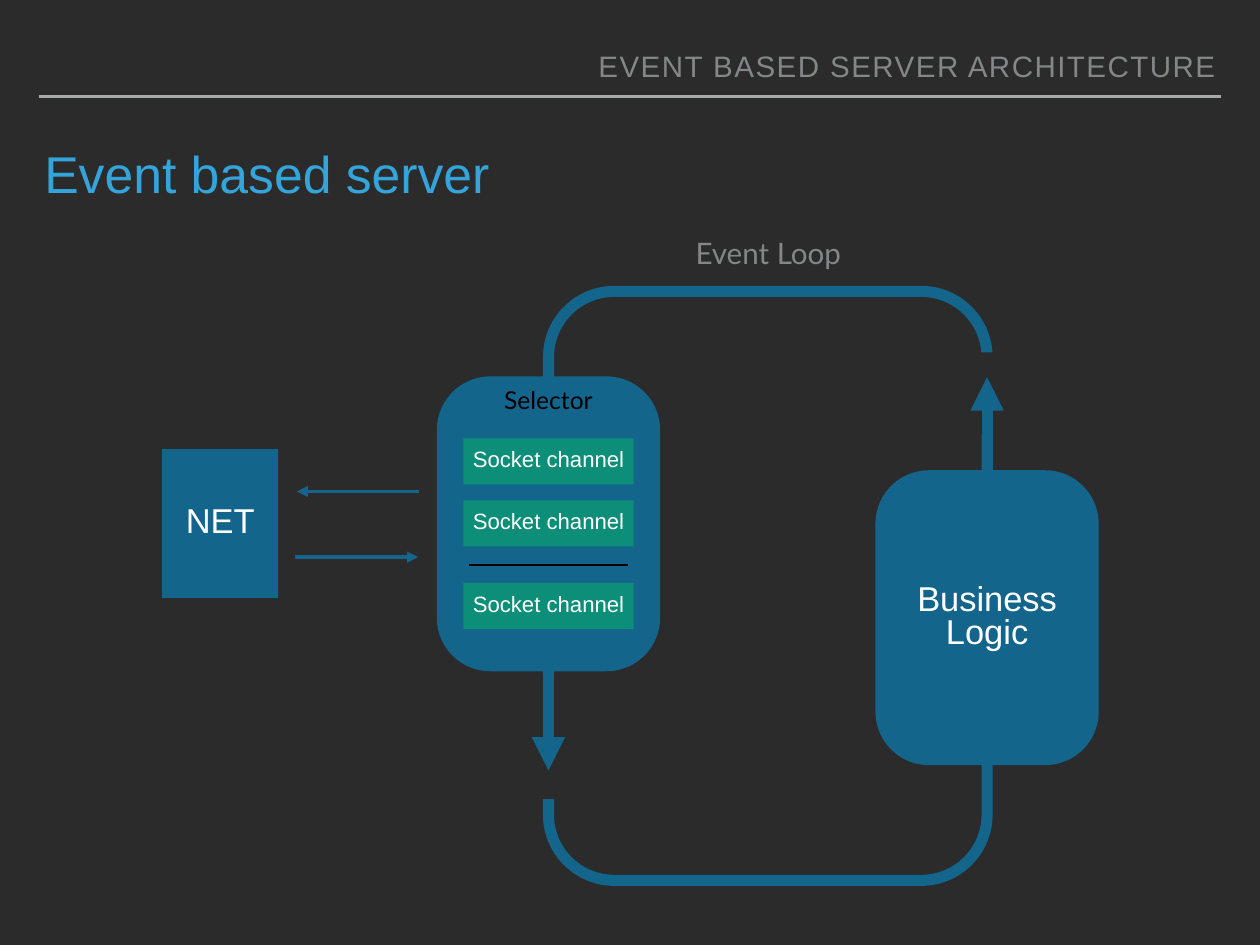
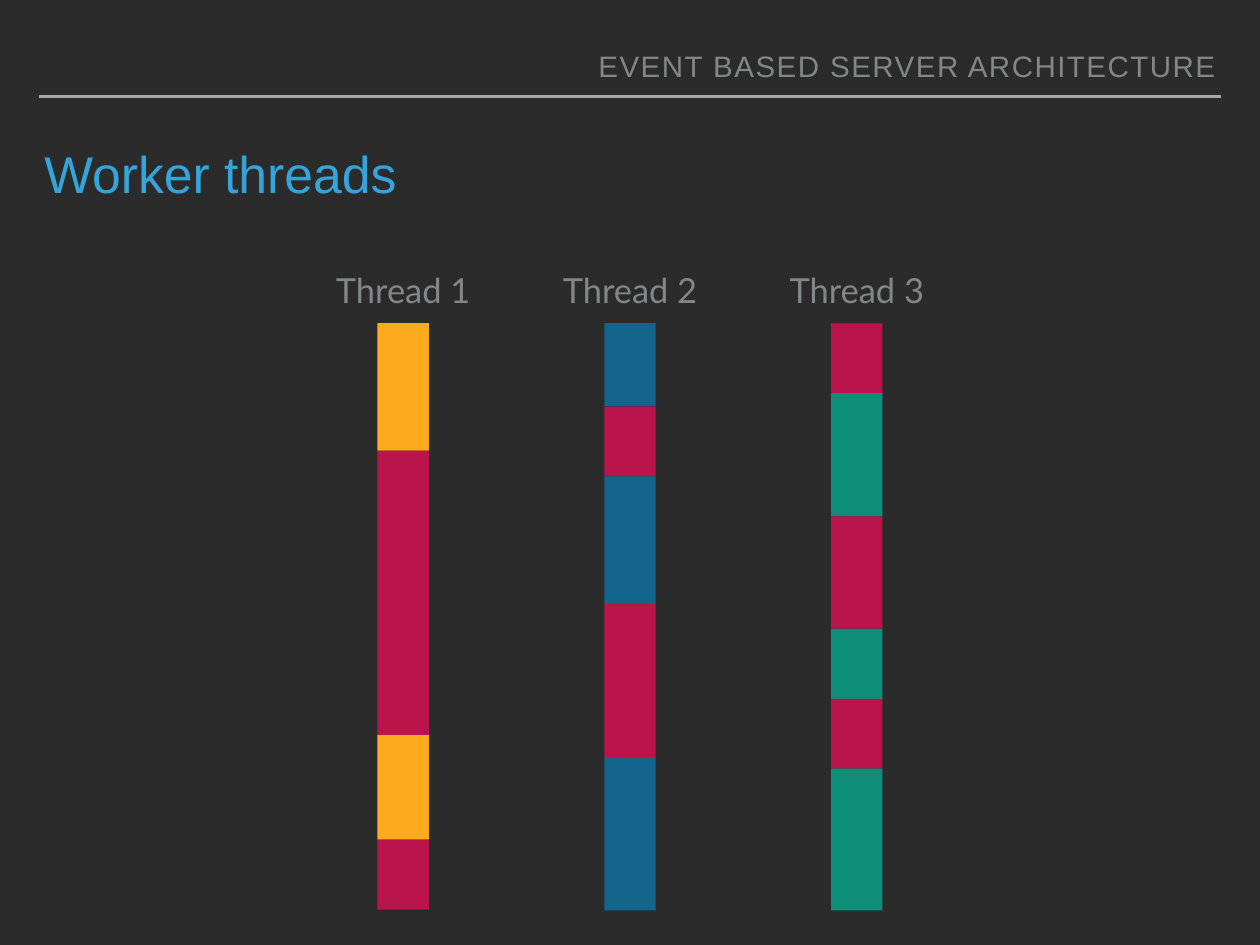
from itertools import cycle

from lxml import etree
from pptx import Presentation
from pptx import util as u
from pptx.dml.color import RGBColor
from pptx.enum import shapes, text
from pptx.oxml import ns

# Shared look
BACKGROUND = RGBColor(0x2B, 0x2B, 0x2B)
RULE = RGBColor(0xA6, 0xAA, 0xA9)
GREY = RGBColor(0x83, 0x87, 0x87)
SKY = RGBColor(0x34, 0xA5, 0xDA)
BLUE = RGBColor(0x13, 0x65, 0x8C)
GREEN = RGBColor(0x0C, 0x8E, 0x78)
RED = RGBColor(0xB9, 0x14, 0x4C)
AMBER = RGBColor(0xFD, 0xAA, 0x1D)
WHITE = RGBColor(0xFF, 0xFF, 0xFF)
BLACK = RGBColor(0, 0, 0)

WIDTH, HEIGHT = 14.22, 10.67
MARGIN = 0.44
INSET = 0.06
BODY_FONT, LABEL_FONT = "Arial", "Lato"
RECT = shapes.MSO_SHAPE.RECTANGLE
ROUNDED = shapes.MSO_SHAPE.ROUNDED_RECTANGLE
CENTER = text.PP_ALIGN.CENTER
MIDDLE = text.MSO_ANCHOR.MIDDLE

# Content
HEADER = "EVENT BASED SERVER ARCHITECTURE"
SERVER_TITLE = "Event based server"
THREADS_TITLE = "Worker threads"
CHANNEL = "Socket channel"
CHANNEL_TOPS = (4.95, 5.65, 6.58)
# Label, alternating colours, segment lengths from top to bottom
THREADS = [
    ("Thread 1", (AMBER, RED), (1.44, 3.21, 1.18, 0.79)),
    ("Thread 2", (BLUE, RED), (0.94, 0.79, 1.44, 1.73, 1.73)),
    ("Thread 3", (RED, GREEN), (0.79, 1.39, 1.27, 0.79, 0.79, 1.6)),
]


def write(shape, words, size, color, font=BODY_FONT, align=CENTER,
          anchor=MIDDLE, spacing=0.8, wrap=True):
    frame = shape.text_frame
    frame.margin_left = frame.margin_right = u.Inches(INSET)
    frame.margin_top = frame.margin_bottom = u.Inches(INSET)
    frame.vertical_anchor = anchor
    frame.word_wrap = wrap
    frame.text = words
    para = frame.paragraphs[0]
    para.alignment = align
    para.line_spacing = spacing
    span = para.runs[0]
    span.font.name = font
    span.font.size = u.Pt(size)
    span.font.color.rgb = color
    return span


def add_text(parent, area, words, size, color, **style):
    box = parent.shapes.add_textbox(*map(u.Inches, area))
    return write(box, words, size, color, **style)


def add_box(parent, area, fill, kind=RECT, corner=None, outline=None):
    box = parent.shapes.add_shape(kind, *map(u.Inches, area))
    box.shadow.inherit = False
    if corner is not None:
        box.adjustments[0] = corner
    if fill is None:
        box.fill.background()
    else:
        box.fill.solid()
        box.fill.fore_color.rgb = fill
    if outline is None:
        box.line.fill.background()
    else:
        box.line.color.rgb, box.line.width = outline[0], u.Pt(outline[1])
    return box


def add_line(parent, start, end, color, weight, arrow=False):
    line = parent.shapes.add_connector(
        shapes.MSO_CONNECTOR.STRAIGHT, *map(u.Inches, (*start, *end)))
    line.line.color.rgb = color
    line.line.width = u.Pt(weight)
    if arrow:
        tip = etree.SubElement(line.line._get_or_add_ln(), ns.qn("a:tailEnd"))
        tip.set("type", "triangle")
    etree.SubElement(line._element.spPr, ns.qn("a:effectLst"))


def add_page(deck, title):
    page = deck.slides.add_slide(deck.slide_layouts[6])
    span_width = WIDTH - 2 * MARGIN
    add_line(page, (MARGIN, 1.09), (WIDTH - MARGIN, 1.09), RULE, 2)
    header = add_text(page, (MARGIN, 0.5, span_width, 0.5), HEADER, 24, GREY,
                      align=text.PP_ALIGN.RIGHT, anchor=text.MSO_ANCHOR.BOTTOM)
    header.font._element.set("spc", "120")
    add_text(page, (MARGIN, 1.68, span_width, 0.79), title, 42, SKY,
             align=text.PP_ALIGN.LEFT, anchor=text.MSO_ANCHOR.TOP)
    return page


def add_selector(page, area):
    group = page.shapes.add_group_shape()
    add_box(group, area, BLUE, ROUNDED, 0.24)
    center = area[0] + area[2] / 2
    add_text(group, (center - 0.63, 4.35, 1.26, 0.52), "Selector", 20, BLACK,
             font=LABEL_FONT, spacing=0.1)
    for top in CHANNEL_TOPS:
        channel = add_box(group, (center - 0.96, top, 1.92, 0.52), GREEN)
        write(channel, CHANNEL, 18, WHITE)
    add_line(group, (center - 0.9, 6.38), (center + 0.9, 6.38), BLACK, 2)


def build_server(deck):
    page = add_page(deck, SERVER_TITLE)
    left, top, width, height = loop = (6.19, 3.29, 4.95, 6.65)
    right = left + width
    node_width, node_height = 2.52, 3.33

    # Event loop, opened where each arrow ends
    add_box(page, loop, None, ROUNDED, 0.15, (BLUE, 9))
    add_text(page, (left + width / 2 - 0.92, 2.57, 1.85, 0.57), "Event Loop",
             24, GREY, font=LABEL_FONT, spacing=1, wrap=False)
    for x, gap_top, gap_height, start, end in (
            (left, 7.63, 1.39, 7.45, 8.7), (right, 3.98, 0.92, 5.51, 4.26)):
        add_box(page, (x - 0.38, gap_top, 0.76, gap_height), BACKGROUND)
        add_line(page, (x, start), (x, end), BLUE, 9, arrow=True)

    # Network and its two-way traffic
    net = add_box(page, (1.83, 5.07, 1.31, 1.68), BLUE)
    write(net, "NET", 28, WHITE)
    add_line(page, (4.73, 5.55), (3.35, 5.55), BLUE, 3, arrow=True)
    add_line(page, (3.33, 6.29), (4.72, 6.29), BLUE, 3, arrow=True)

    # Nodes on the loop
    add_selector(page, (left - node_width / 2, 4.25, node_width, node_height))
    logic = add_box(page, (right - node_width / 2, 5.31, node_width, node_height),
                    BLUE, ROUNDED, 0.24)
    write(logic, "Business Logic", 28, WHITE)


def build_threads(deck):
    page = add_page(deck, THREADS_TITLE)
    pitch, bar_width, label_width = 2.56, 0.58, 1.71
    for index, (label, colors, lengths) in enumerate(THREADS):
        center = WIDTH / 2 + (index - 1) * pitch
        add_text(page, (center - label_width / 2, 2.95, label_width, 0.64),
                 label, 28, GREY, font=LABEL_FONT, spacing=1, wrap=False)
        top = 3.65
        for color, length in zip(cycle(colors), lengths):
            add_box(page, (center - bar_width / 2, top, bar_width, length), color)
            top += length


def main():
    deck = Presentation()
    deck.slide_width, deck.slide_height = u.Inches(WIDTH), u.Inches(HEIGHT)
    backdrop = deck.slide_master.background.fill
    backdrop.solid()
    backdrop.fore_color.rgb = BACKGROUND
    build_server(deck)
    build_threads(deck)
    deck.save("out.pptx")


if __name__ == "__main__":
    main()
